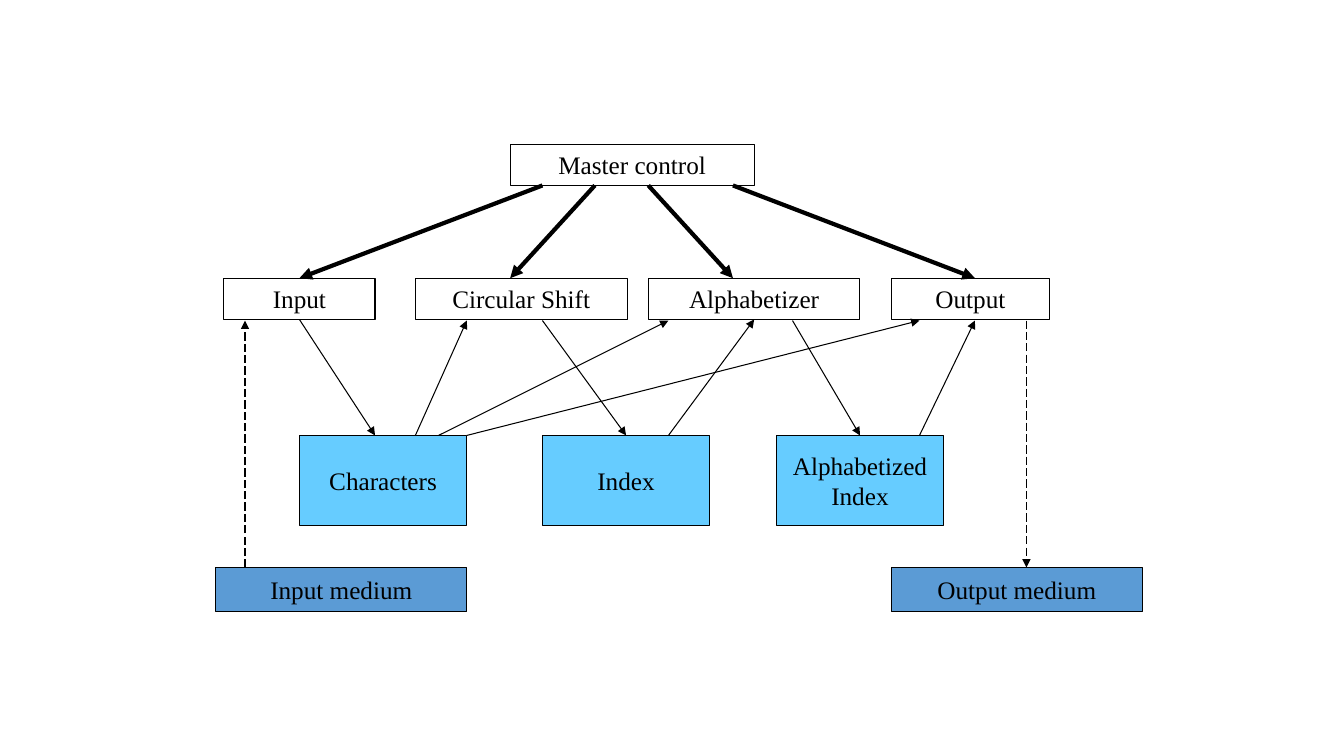
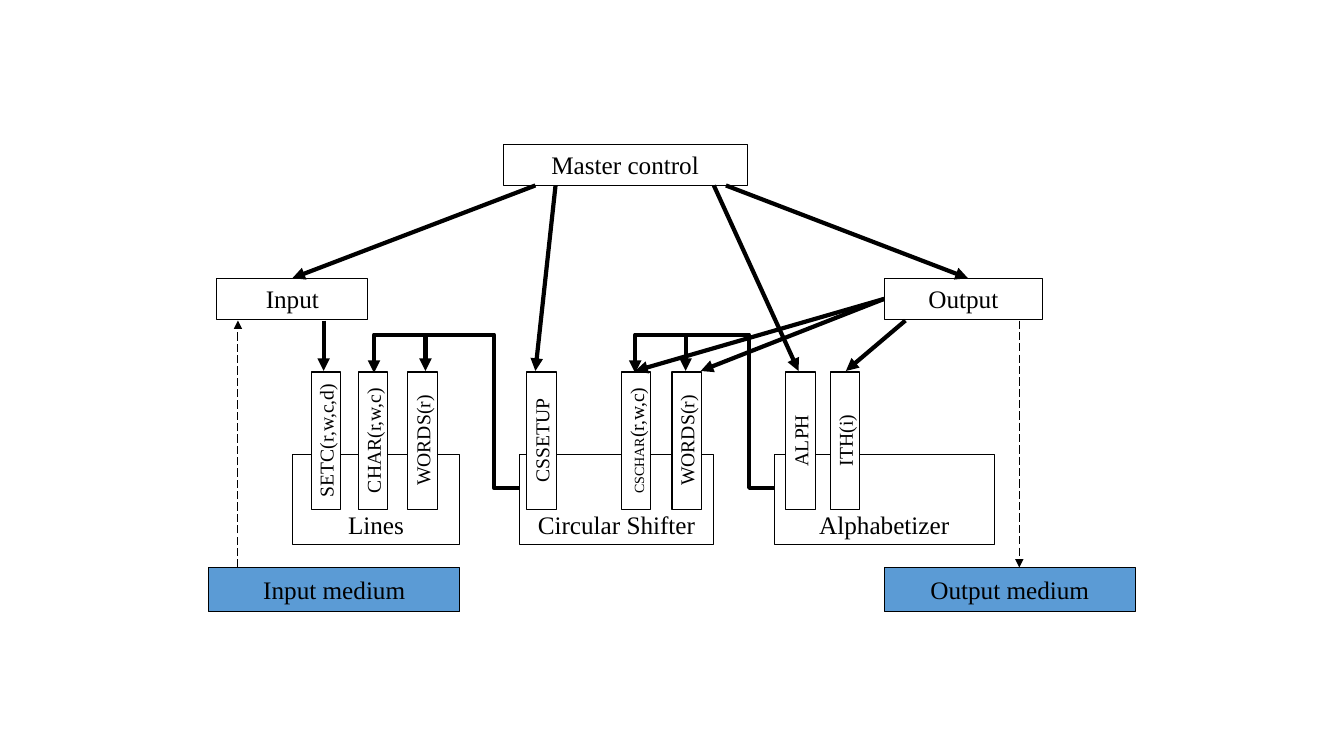
from pptx import Presentation
from pptx.dml.color import RGBColor
from pptx.enum import dml, shapes, text
from pptx.oxml.ns import qn
from pptx.util import Inches, Pt
from lxml import etree

BLACK = RGBColor(0x00, 0x00, 0x00)
WHITE = RGBColor(0xFF, 0xFF, 0xFF)
SKY = RGBColor(0x66, 0xCC, 0xFF)
BLUE = RGBColor(0x5B, 0x9B, 0xD5)
FONT = "Times New Roman"
THIN, THICK = 0.75, 3
TOP, LEFT, BOTTOM = 0, 1, 2
MIDDLE, LOW = text.MSO_ANCHOR.MIDDLE, text.MSO_ANCHOR.BOTTOM

# Rows: top and height; y of the edges where arrows meet them
MASTER, MODULE = (1.43, 0.41), (2.76, 0.41)
STORE, MEDIUM, PART = (4.32, 0.89), (5.63, 0.44), (4.51, 0.89)
Y_MASTER, Y_TOP, Y_LOW, Y_STORE, Y_MEDIUM = 1.84, 2.76, 3.18, 4.32, 5.63
SLOT_W, SLOT_H, SLOT_Y, Y_SLOT, Y_BUS = 1.36, 0.29, 4.37, 3.68, 3.32

# Both slides: name, left, width, row, fill
FRAME = [
    ("Master control", 5.06, 2.42, MASTER, None),
    ("Input", 2.22, 1.5, MODULE, None),
    ("Output", 8.84, 1.57, MODULE, None),
    ("Input medium", 2.14, 2.49, MEDIUM, BLUE),
    ("Output medium", 8.84, 2.49, MEDIUM, BLUE),
]
SHIFT = -0.07  # the frame of the second slide sits a little to the left

# Shared data slide: an arrow end is a point or (box name, side)
DATA_BOXES = [
    ("Circular Shift", 4.12, 2.1, MODULE, None),
    ("Alphabetizer", 6.43, 2.1, MODULE, None),
    ("Characters", 2.97, 1.66, STORE, SKY),
    ("Index", 5.38, 1.66, STORE, SKY),
    ("Alphabetized\vIndex", 7.7, 1.66, STORE, SKY),
]
DATA_CALLS = [
    ((5.9, Y_MASTER), (5.06, Y_TOP)),
    ((6.43, Y_MASTER), (7.27, Y_TOP)),
]
DATA_FLOWS = [
    (("Input", BOTTOM), (3.72, Y_STORE)),
    ((4.12, Y_STORE), (4.63, Y_LOW)),
    ((4.35, Y_STORE), (6.63, Y_LOW)),
    ((4.63, Y_STORE), (9.12, Y_LOW)),
    ((5.38, Y_LOW), ("Index", TOP)),
    ((6.63, Y_STORE), ("Alphabetizer", BOTTOM)),
    ((7.86, Y_LOW), ("Alphabetized\vIndex", TOP)),
    ((9.12, Y_STORE), (9.67, Y_LOW)),
]

# Abstract type slide
PARTS = [
    ("Lines", 2.9, 1.66, PART, None),
    ("Circular Shifter", 5.15, 1.93, PART, None),
    ("Alphabetizer", 7.68, 2.18, PART, None),
]
# Slot runs (text, size) and the x of the slot's centre
SLOTS = [
    ([("SETC(r,w,c,d)", 14)], 3.23),
    ([("CHAR(r,w,c)", 14)], 3.7),
    ([("WORDS(r)", 14)], 4.19),
    ([("CSSETUP", 14)], 5.37),
    ([("CSCHAR", 10), ("(r,w,c)", 14)], 6.31),
    ([("WORDS(r)", 14)], 6.81),
    ([("ALPH", 14)], 7.94),
    ([("ITH(i)", 14)], 8.38),
]
TYPE_CALLS = [
    ((3.21, Y_LOW), (3.21, Y_SLOT)),
    ((5.51, Y_MASTER), (5.31, Y_SLOT)),
    ((7.08, Y_MASTER), (7.92, Y_SLOT)),
    ((4.22, Y_BUS), (4.22, Y_SLOT)),
    ((6.8, Y_BUS), (6.8, Y_SLOT)),
    ((8.98, Y_LOW), (8.39, Y_SLOT)),
    (("Output", LEFT), (6.95, Y_SLOT)),
    (("Output", LEFT), (6.3, Y_SLOT)),
]
BUSES = [(5.15, 3.71), (7.68, 6.3)]  # x of start and of arrow tip


def ink(line, width):
    line.color.rgb = BLACK
    line.width = Pt(width)


def tip(shape):
    """Put an arrowhead on the end of a line."""
    etree.SubElement(shape.line._get_or_add_ln(), qn("a:tailEnd"), type="triangle")


def add_box(slide, runs, left, top, width, height, fill=None, anchor=MIDDLE):
    box = slide.shapes.add_shape(
        shapes.MSO_SHAPE.RECTANGLE,
        Inches(left), Inches(top), Inches(width), Inches(height))
    box.shadow.inherit = False
    ink(box.line, THIN)
    if fill is None:
        box.fill.background()
    else:
        box.fill.solid()
        box.fill.fore_color.rgb = fill
    frame = box.text_frame
    frame.vertical_anchor = anchor
    frame.word_wrap = False
    para = frame.paragraphs[0]
    para.alignment = text.PP_ALIGN.CENTER
    para.font.name, para.font.color.rgb = FONT, BLACK
    para.font.size = Pt(runs[0][1])
    for words, size in runs:
        for i, piece in enumerate(words.split("\v")):
            if i:
                para.add_line_break()
            run = para.add_run()
            run.text = piece
            if size != runs[0][1]:
                run.font.size = Pt(size)
    return box


def add_boxes(slide, rows, dx=0, anchor=MIDDLE):
    return {name: add_box(slide, [(name, 18)], left + dx, top, width, height, fill, anchor)
            for name, left, width, (top, height), fill in rows}


def add_arrows(slide, boxes, pairs, width, dx=0, dash=False):
    for ends in pairs:
        spots = [(0, 0) if isinstance(e[0], str) else (e[0] + dx, e[1]) for e in ends]
        line = slide.shapes.add_connector(
            shapes.MSO_CONNECTOR.STRAIGHT, *(Inches(v) for spot in spots for v in spot))
        for end, join in zip(ends, (line.begin_connect, line.end_connect)):
            if isinstance(end[0], str):
                join(boxes[end[0]], end[1])
        ink(line.line, width)
        if dash:
            line.line.dash_style = dml.MSO_LINE.LONG_DASH
        tip(line)
        etree.SubElement(line._element.spPr, qn("a:effectLst"))


def add_frame(slide, dx=0):
    """Draw the boxes and arrows that both slides share."""
    boxes = add_boxes(slide, FRAME, dx)
    calls = [((5.38, Y_MASTER), ("Input", TOP)), ((7.27, Y_MASTER), (9.67, Y_TOP))]
    media = [((2.43, Y_MEDIUM), (2.43, Y_LOW)), ((10.18, Y_LOW), (10.18, Y_MEDIUM))]
    add_arrows(slide, boxes, calls, THICK, dx)
    add_arrows(slide, boxes, media, THIN, dx, dash=True)
    return boxes


def add_bus(slide, start, end):
    turn = start - 0.25
    points = [(turn, 4.84), (turn, Y_BUS), (end, Y_BUS), (end, 3.7)]
    pen = slide.shapes.build_freeform(Inches(start), Inches(4.84))
    pen.add_line_segments([(Inches(x), Inches(y)) for x, y in points], close=False)
    bus = pen.convert_to_shape()
    bus.shadow.inherit = False
    bus.fill.background()
    ink(bus.line, THICK)
    tip(bus)


def draw_data(slide):
    boxes = add_frame(slide)
    boxes.update(add_boxes(slide, DATA_BOXES))
    add_arrows(slide, boxes, DATA_CALLS, THICK)
    add_arrows(slide, boxes, DATA_FLOWS, THIN)


def draw_types(slide):
    boxes = add_frame(slide, SHIFT)
    add_boxes(slide, PARTS, anchor=LOW)
    for runs, x in SLOTS:
        slot = add_box(slide, runs, x - SLOT_W / 2, SLOT_Y - SLOT_H / 2,
                       SLOT_W, SLOT_H, WHITE)
        slot.rotation = 270
    for start, end in BUSES:
        add_bus(slide, start, end)
    add_arrows(slide, boxes, TYPE_CALLS, THICK)


def main():
    deck = Presentation()
    deck.slide_width, deck.slide_height = Inches(13.33), Inches(7.5)
    blank = deck.slide_layouts[6]
    for draw in (draw_data, draw_types):
        draw(deck.slides.add_slide(blank))
    deck.save("out.pptx")


if __name__ == "__main__":
    main()
